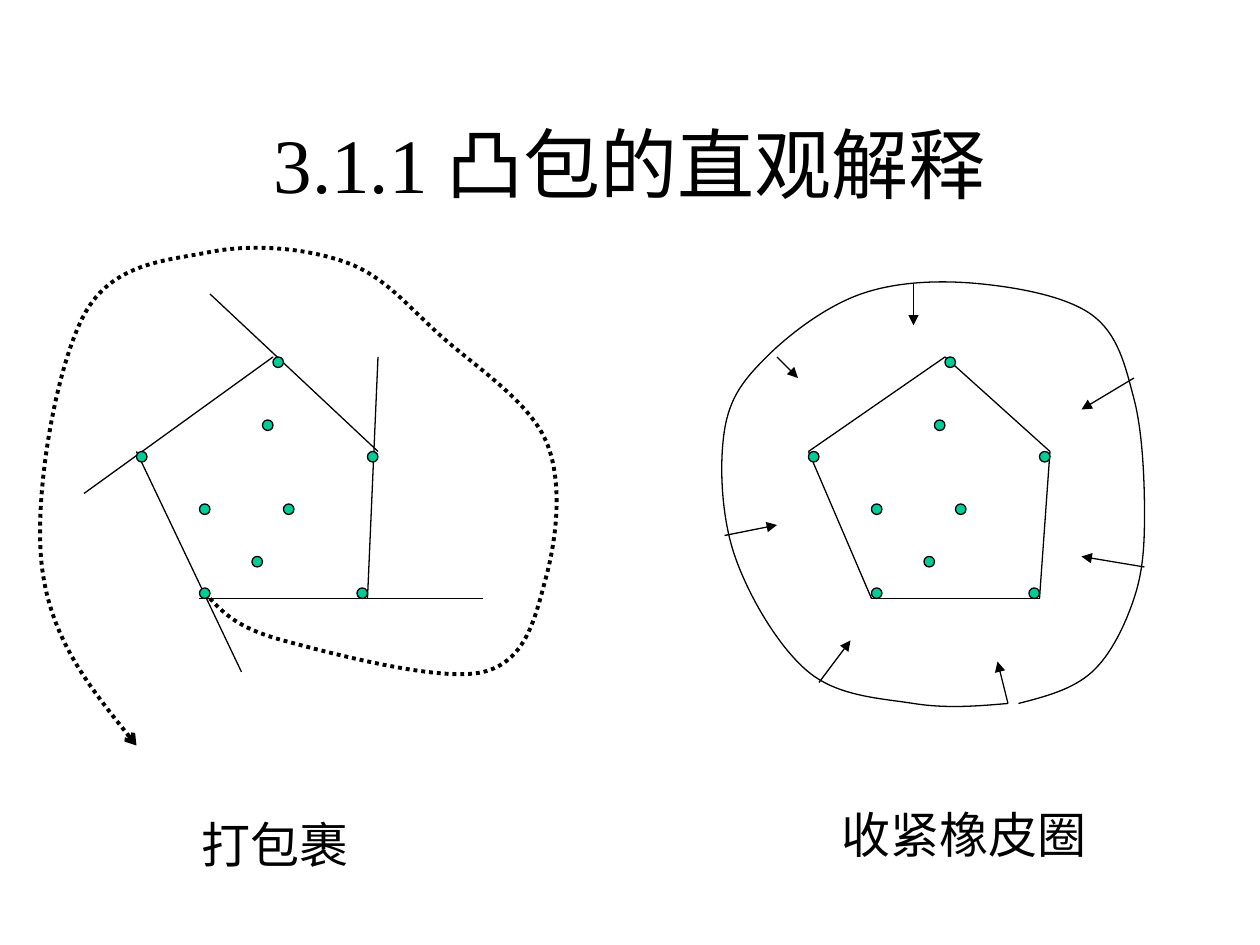
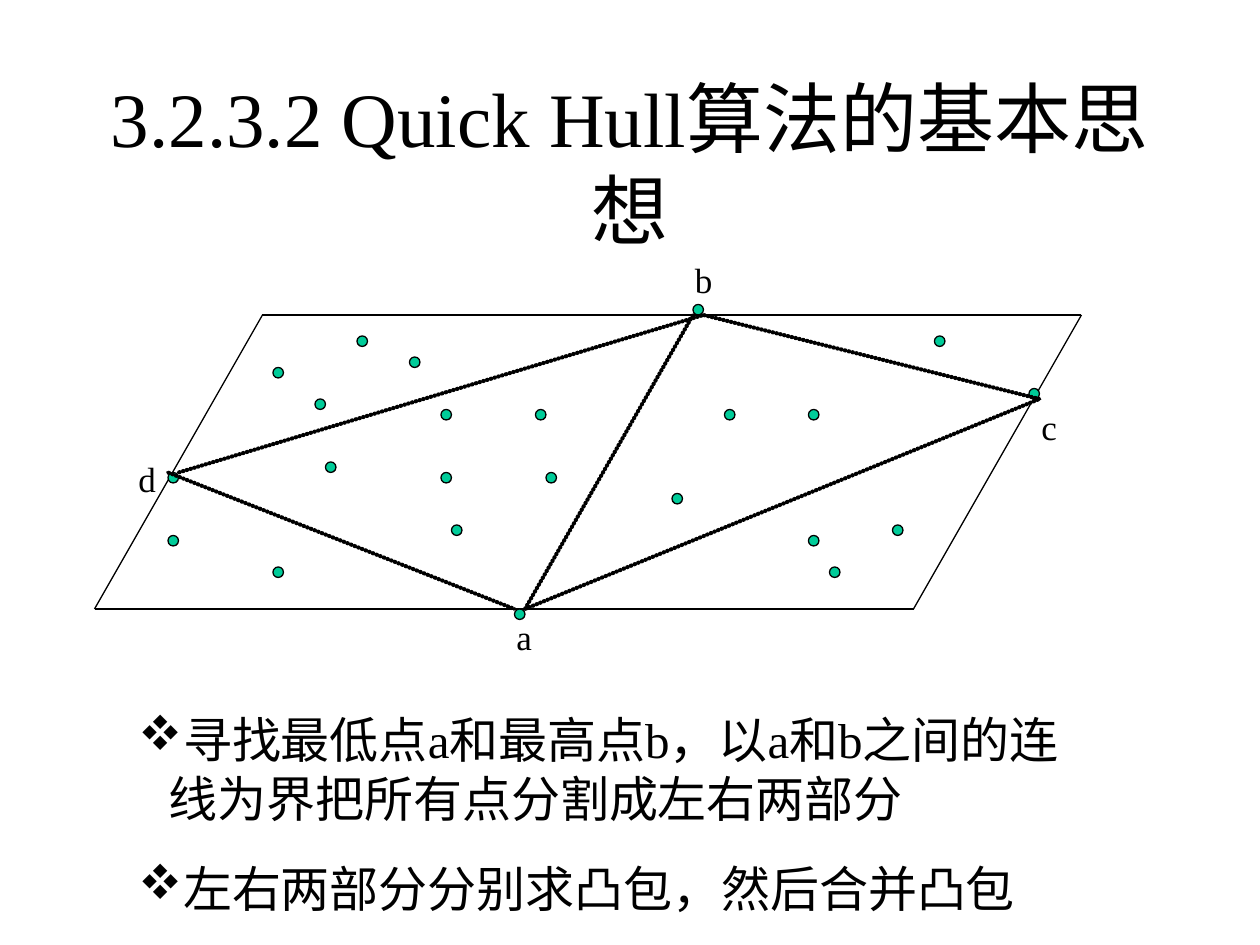
import pptx
import pptx.util
import pptx.dml.color
import pptx.enum.dml
import pptx.enum.shapes
import pptx.enum.text
import pptx.oxml.ns
from lxml import etree

Inches, Pt, qn = pptx.util.Inches, pptx.util.Pt, pptx.oxml.ns.qn
BLACK = pptx.dml.color.RGBColor(0x00, 0x00, 0x00)
GREEN = pptx.dml.color.RGBColor(0x00, 0xCC, 0x99)
FONT = "Times New Roman"
THIN, THICK = 0.74, 2.24

# Drawing coordinates are whole twelfths of an inch
# --- Slide 1: two pictures of a convex hull ---
INTUITION_TITLE = "3.1.1 凸包的直观解释"
HULL_POINTS = [(25, 40), (27, 48), (19, 48), (24, 53), (26, 34),
               (35, 43), (13, 43), (19, 56), (34, 56)]
RIGHT_SHIFT = 64
WRAPPING_EDGES = [((26, 34), (8, 47)), ((13, 43), (23, 64)), ((19, 57), (46, 57)),
                  ((20, 28), (36, 43)), ((36, 34), (35, 57))]
HULL_CORNERS = [(90, 34), (77, 43), (83, 57), (99, 57), (100, 43)]
WRAPPING_PATH = [(20, 57), (27, 61), (46, 64), (52, 55), (52, 42), (42, 32),
                 (33, 25), (20, 24), (8, 30), (4, 54), (13, 71)]
RUBBER_BAND = [(97, 67), (104, 64), (108, 57), (109, 49), (108, 38), (104, 30), (93, 27),
               (82, 28), (73, 34), (69, 41), (70, 53), (77, 64), (87, 67), (96, 67)]
TIGHTENING = [((96, 67), (95, 63)), ((69, 51), (74, 50)), ((87, 27), (87, 31)),
              ((108, 36), (103, 39)), ((109, 54), (103, 53)), ((74, 34), (76, 36)),
              ((78, 65), (81, 61))]
CAPTIONS = [("打包裹", 18, 77), ("收紧橡皮圈", 79, 76)]

# --- Slide 2: Quick Hull ---
QUICK_TITLE = "3.2.3.2 Quick Hull算法的基本思想"
BOUNDARY = [(25, 30), (103, 30), (87, 58), (9, 58)]
EXTREMES = [(49, 58), (66, 29), (98, 37), (16, 45)]
EXTREME_LABELS = [("a", 48, 58), ("b", 65, 24), ("c", 98, 38), ("d", 12, 43)]
SPLIT_LINES = [((66, 30), (50, 58)), ((67, 30), (99, 38)), ((50, 58), (99, 38)),
               ((16, 45), (49, 58)), ((17, 45), (67, 30))]
INNER_POINTS = [(51, 39), (34, 32), (42, 45), (69, 39), (77, 51), (77, 39), (64, 47),
                (85, 50), (89, 32), (79, 54), (16, 51), (26, 54), (26, 35), (39, 34),
                (30, 38), (43, 50), (52, 45), (42, 39), (31, 44)]
STEPS = ["寻找最低点a和最高点b，以a和b之间的连线为界把所有点分割成左右两部分",
         "左右两部分分别求凸包，然后合并凸包"]


def grid(units):
    return Inches(units / 12)


def outline(shape):
    return shape._element.spPr.find(qn("a:ln"))


def add_arrowhead(shape, kind):
    etree.SubElement(outline(shape), qn("a:tailEnd"), type=kind)


def add_fine_dots(shape):
    outline(shape).set("cap", "rnd")
    dashes = etree.SubElement(outline(shape), qn("a:custDash"))
    etree.SubElement(dashes, qn("a:ds"), d="50000", sp="50000")


def add_text(slide, lines, left, top, width, height, size, gap=0):
    box = slide.shapes.add_textbox(grid(left), grid(top), grid(width), Inches(height))
    frame = box.text_frame
    frame.word_wrap = True
    frame.text = "\n".join(lines)
    for paragraph in frame.paragraphs:
        paragraph.space_before = Pt(gap)
        font = paragraph.runs[0].font
        font.name, font.size, font.color.rgb = FONT, Pt(size), BLACK
    return frame


def add_titled_slide(title):
    slide = deck.slides.add_slide(deck.slide_layouts[6])
    frame = add_text(slide, [title], 9, 8, 102, 1.25, 44)
    frame.vertical_anchor = pptx.enum.text.MSO_ANCHOR.MIDDLE
    frame.paragraphs[0].alignment = pptx.enum.text.PP_ALIGN.CENTER
    return slide


def add_segments(slide, ends, width=THIN):
    segments = []
    for start, end in ends:
        segment = slide.shapes.add_connector(
            pptx.enum.shapes.MSO_CONNECTOR.STRAIGHT, *map(grid, start + end))
        segment.line.color.rgb = BLACK
        segment.line.width = Pt(width)
        etree.SubElement(segment._element.spPr, qn("a:effectLst"))
        segments.append(segment)
    return segments


def loop(corners):
    return list(zip(corners, corners[1:] + corners[:1]))


def add_points(slide, points, shift=0):
    for x, y in points:
        point = slide.shapes.add_shape(pptx.enum.shapes.MSO_SHAPE.OVAL,
                                       grid(x + shift), grid(y), grid(1), grid(1))
        point.shadow.inherit = False
        point.fill.solid()
        point.fill.fore_color.rgb = GREEN
        point.line.color.rgb = BLACK
        point.line.width = Pt(THIN)


def bezier_points(knots):
    """Two handles and an end for each piece; tangents follow the neighbours."""
    def handle(i, sign):
        return tuple(k + sign * (b - a) / 6
                     for a, k, b in zip(knots[i - 1], knots[i], knots[i + 1]))

    def middle(p, q):
        return tuple((a + b) / 2 for a, b in zip(p, q))

    last = len(knots) - 1
    points = []
    for i in range(last):
        leave = handle(i, 1) if i else middle(knots[0], handle(1, -1))
        arrive = handle(i + 1, -1) if i + 1 < last else middle(knots[last], leave)
        points += [leave, arrive, knots[i + 1]]
    return points


def add_curve(slide, knots, width):
    start, *rest = [(grid(x), grid(y)) for x, y in [knots[0]] + bezier_points(knots)]
    builder = slide.shapes.build_freeform(*start)
    builder.add_line_segments(rest, close=False)
    curve = builder.convert_to_shape()
    # Every three line ends become one Bezier piece
    steps = list(curve._element.iter(qn("a:lnTo")))
    for i in range(0, len(steps), 3):
        piece = etree.SubElement(steps[i].getparent(), qn("a:cubicBezTo"))
        for step in steps[i:i + 3]:
            piece.append(step[0])
            step.getparent().remove(step)
    curve.shadow.inherit = False
    curve.fill.background()
    curve.line.color.rgb = BLACK
    curve.line.width = Pt(width)
    return curve


deck = pptx.Presentation()
deck.slide_width, deck.slide_height = Inches(10), Inches(7.5)

# Slide 1: gift wrapping on the left, rubber band on the right
intuition = add_titled_slide(INTUITION_TITLE)
add_segments(intuition, WRAPPING_EDGES)
add_points(intuition, HULL_POINTS)
add_segments(intuition, loop(HULL_CORNERS))
add_points(intuition, HULL_POINTS, RIGHT_SHIFT)
wrapping = add_curve(intuition, WRAPPING_PATH, THICK)
wrapping.line.dash_style = pptx.enum.dml.MSO_LINE.ROUND_DOT
add_arrowhead(wrapping, "arrow")
add_curve(intuition, RUBBER_BAND, THIN)
for pull in add_segments(intuition, TIGHTENING):
    add_arrowhead(pull, "triangle")
for caption, left, top in CAPTIONS:
    add_text(intuition, [caption], left, top, 29, 0.57, 28, 17.5)

# Slide 2: point set split by the line a-b
quick = add_titled_slide(QUICK_TITLE)
add_segments(quick, loop(BOUNDARY))
add_points(quick, EXTREMES)
for split in add_segments(quick, SPLIT_LINES, THICK):
    add_fine_dots(split)
add_points(quick, INNER_POINTS)
steps_frame = add_text(quick, STEPS, 12, 67, 94, 1.75, 28, 17.5)
for paragraph in steps_frame.paragraphs:
    properties = paragraph._p.get_or_add_pPr()
    properties.set("marL", str(Inches(0.24)))
    properties.set("indent", str(-Inches(0.24)))
    etree.SubElement(properties, qn("a:buFont"), typeface="Wingdings", charset="2")
    etree.SubElement(properties, qn("a:buChar"), char="v")
for label, left, top in EXTREME_LABELS:
    add_text(quick, [label], left, top, 4, 0.44, 20, 12.5)

deck.save("out.pptx")
